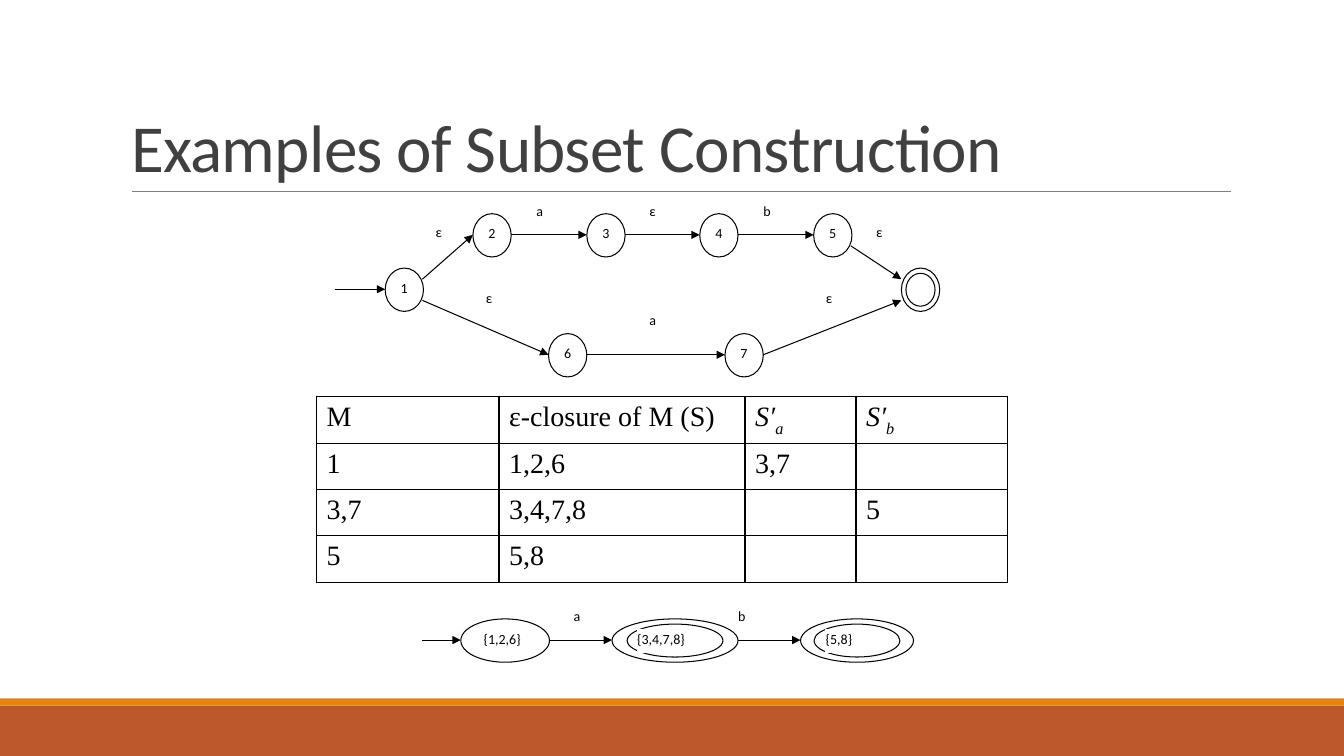
from dataclasses import dataclass

from lxml import etree
from pptx import Presentation
from pptx.dml.color import RGBColor
from pptx.enum.shapes import MSO_CONNECTOR, MSO_SHAPE
from pptx.enum.text import MSO_ANCHOR, MSO_AUTO_SIZE, PP_ALIGN
from pptx.oxml import parse_xml
from pptx.oxml.ns import nsdecls, qn
from pptx.util import Inches, Pt

RECTANGLE, ELLIPSE = MSO_SHAPE.RECTANGLE, MSO_SHAPE.OVAL
STRAIGHT = MSO_CONNECTOR.STRAIGHT
TOP, BOTTOM = MSO_ANCHOR.TOP, MSO_ANCHOR.BOTTOM
LEFT, JUSTIFY = PP_ALIGN.LEFT, PP_ALIGN.JUSTIFY


@dataclass(frozen=True)
class Theme:
    black = RGBColor(0x00, 0x00, 0x00)
    white = RGBColor(0xFF, 0xFF, 0xFF)
    title = RGBColor(0x40, 0x40, 0x40)
    rule = RGBColor(0x80, 0x80, 0x80)
    rust = RGBColor(0xBD, 0x58, 0x2C)
    orange = RGBColor(0xE4, 0x83, 0x12)
    sans = "Calibri"
    serif = "Times New Roman"
    title_size = Pt(48)
    table_size = Pt(20)
    diagram_size = Pt(10)
    diagram_line = Pt(0.75)
    rule_line = Pt(0.5)


theme = Theme()
presentation = Presentation()
presentation.slide_width, presentation.slide_height = Inches(13.33), Inches(7.5)
slide = presentation.slides.add_slide(presentation.slide_layouts[5])


def add_box(kind, box, fill, line=None, text="", inset=None):
    shape = slide.shapes.add_shape(kind, *map(Inches, box))
    shape.shadow.inherit = False
    shape.fill.solid()
    shape.fill.fore_color.rgb = fill
    if line is None:
        shape.line.fill.background()
    else:
        shape.line.color.rgb = line
        shape.line.width = theme.diagram_line
    if text:
        frame = shape.text_frame
        frame.word_wrap = True
        frame.vertical_anchor = TOP
        if inset is not None:
            frame.margin_left = frame.margin_right = Inches(inset)
            frame.margin_top = frame.margin_bottom = Inches(inset)
        paragraph = frame.paragraphs[0]
        paragraph.text = text
        paragraph.alignment = JUSTIFY
        paragraph.font.name = theme.sans
        paragraph.font.size = theme.diagram_size
        paragraph.font.color.rgb = theme.black


def add_line(start, end, color, width, arrow=False):
    connector = slide.shapes.add_connector(STRAIGHT, *map(Inches, start + end))
    connector.line.color.rgb = color
    connector.line.width = width
    if arrow:
        outline = connector.line._get_or_add_ln()
        etree.SubElement(outline, qn("a:tailEnd"), type="triangle")
    etree.SubElement(connector._element.spPr, qn("a:effectLst"))


add_box(RECTANGLE, (0, 7, 13.33, 0.5), theme.rust)
add_box(RECTANGLE, (0, 6.93, 13.33, 0.07), theme.orange)
add_line((1.31, 1.9), (12.21, 1.9), theme.rule, theme.rule_line)

title = slide.shapes.title
title.left, title.top, title.width, title.height = map(Inches, (1.2, 0.31, 11, 1.59))
title.text_frame.auto_size = MSO_AUTO_SIZE.NONE
title.text_frame.vertical_anchor = BOTTOM
paragraph = title.text_frame.paragraphs[0]
paragraph.text = "Examples of Subset Construction"
paragraph.alignment = LEFT
paragraph.line_spacing = 0.85
paragraph.font.name = theme.sans
paragraph.font.size = theme.title_size
paragraph.font.color.rgb = theme.title
paragraph.runs[0].font._element.set("spc", "-50")

arrows = [
    ((3.32, 2.87), (3.82, 2.87)),
    ((4.19, 2.77), (4.69, 2.33)),
    ((5.07, 2.33), (5.82, 2.33)),
    ((6.19, 2.33), (6.94, 2.33)),
    ((7.32, 2.33), (8.07, 2.33)),
    ((8.44, 2.44), (8.94, 2.77)),
    ((4.19, 2.98), (5.44, 3.52)),
    ((5.82, 3.52), (7.19, 3.52)),
    ((7.57, 3.52), (8.94, 2.98)),
    ((4.19, 6.35), (4.57, 6.35)),
    ((5.44, 6.35), (6.07, 6.35)),
    ((7.32, 6.35), (7.94, 6.35)),
]
for start, end in arrows:
    add_line(start, end, theme.black, theme.diagram_line, arrow=True)

state_height = 0.43
states = [
    ("1", 3.82, 2.66, 0.38),
    ("2", 4.69, 2.12, 0.38),
    ("3", 5.82, 2.12, 0.38),
    ("4", 6.94, 2.12, 0.38),
    ("5", 8.07, 2.12, 0.38),
    ("6", 5.44, 3.31, 0.38),
    ("7", 7.19, 3.31, 0.38),
    ("{1,2,6}", 4.57, 6.14, 0.88),
]
for name, left, top, width in states:
    add_box(ELLIPSE, (left, top, width, state_height), theme.white, theme.black, name)

accepting_states = [(8.94, 2.66, 0.38), (6.07, 6.14, 1.25), (7.94, 6.14, 1.12)]
for left, top, width in accepting_states:
    for inset in (0, 0.12):
        ring = (left + inset * width, top + inset * state_height,
                width * (1 - 2 * inset), state_height * (1 - 2 * inset))
        add_box(ELLIPSE, ring, theme.white, theme.black)

labels = [
    ("ε", 4.32, 2.22, 0.12),
    ("a", 5.32, 2.01, 0.12),
    ("ε", 6.44, 2.01, 0.12),
    ("b", 7.57, 2.01, 0.12),
    ("ε", 8.69, 2.22, 0.12),
    ("ε", 4.82, 2.87, 0.12),
    ("a", 6.44, 3.09, 0.12),
    ("ε", 8.19, 2.87, 0.12),
    ("a", 5.69, 6.03, 0.12),
    ("b", 7.32, 6.03, 0.12),
    ("{3,4,7,8}", 6.32, 6.25, 0.62),
    ("{5,8}", 8.19, 6.25, 0.5),
]
for text, left, top, width in labels:
    add_box(RECTANGLE, (left, top, width, 0.22), theme.white, theme.white, text, inset=0)

rows = [
    ["M", "ε-closure of M (S)", ("S′", "a"), ("S′", "b")],
    ["1", "1,2,6", "3,7", ""],
    ["3,7", "3,4,7,8", "", "5"],
    ["5", "5,8", "", ""],
]
column_widths = [1.81, 2.44, 1.1, 1.5]
row_height = 0.46
table = slide.shapes.add_table(
    len(rows), len(column_widths), Inches(3.14), Inches(3.93),
    Inches(sum(column_widths)), Inches(row_height * len(rows))).table
table.first_row = table.horz_banding = False
for column, width in zip(table.columns, column_widths):
    column.width = Inches(width)
for row, values in zip(table.rows, rows):
    row.height = Inches(row_height)
    for cell, value in zip(row.cells, values):
        properties = cell._tc.get_or_add_tcPr()
        for side in ("lnL", "lnR", "lnT", "lnB"):
            properties.append(parse_xml(
                f'<a:{side} {nsdecls("a")} w="{Pt(1)}"><a:solidFill>'
                f'<a:srgbClr val="{theme.black}"/></a:solidFill></a:{side}>'))
        cell.fill.background()
        paragraph = cell.text_frame.paragraphs[0]
        paragraph.font.name = theme.serif
        paragraph.font.size = theme.table_size
        paragraph.font.color.rgb = theme.black
        if isinstance(value, tuple):
            paragraph.font.italic = True
            for text in value:
                paragraph.add_run().text = text
            paragraph.runs[1].font._element.set("baseline", "-30000")
        elif value:
            paragraph.add_run().text = value

presentation.save("out.pptx")
